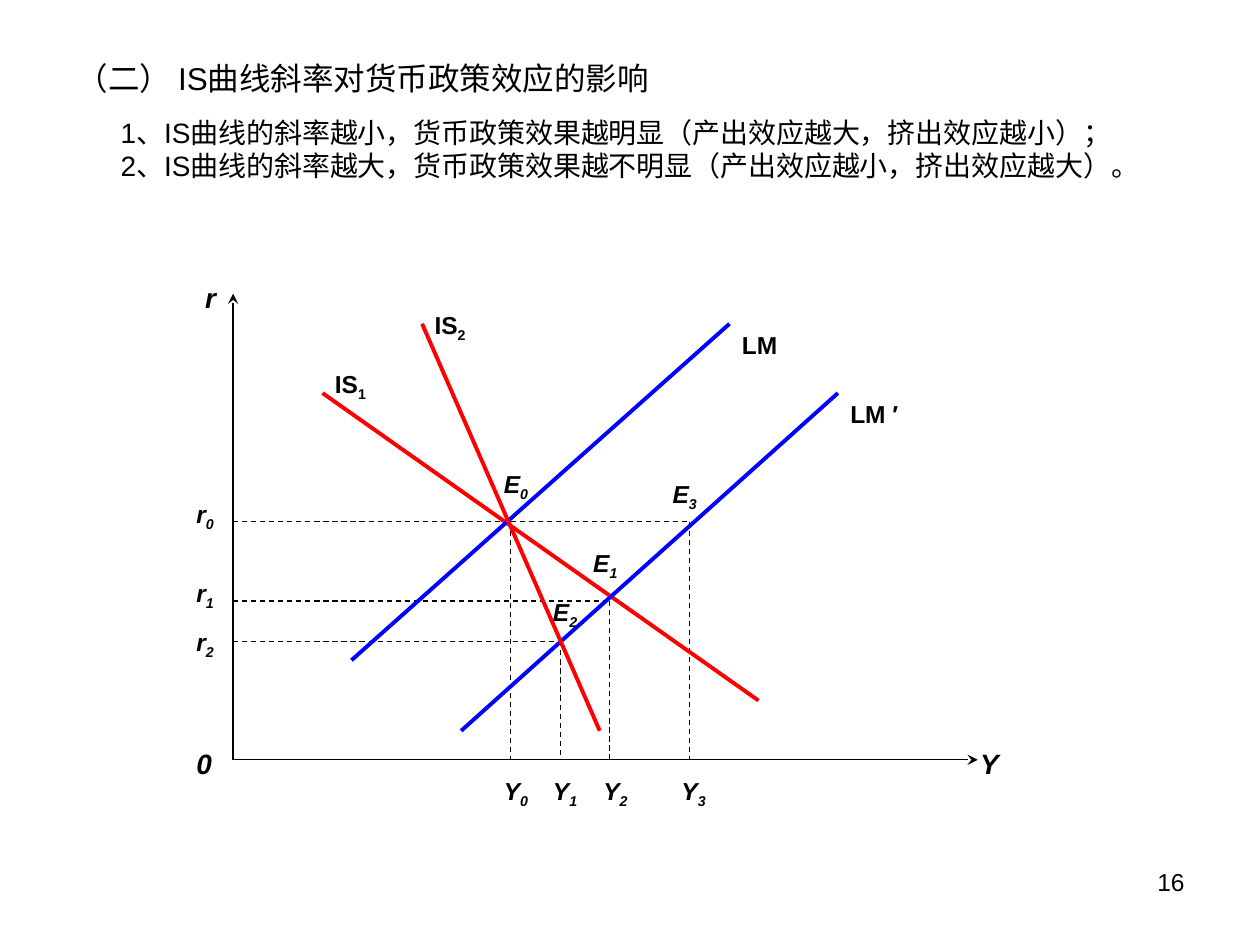
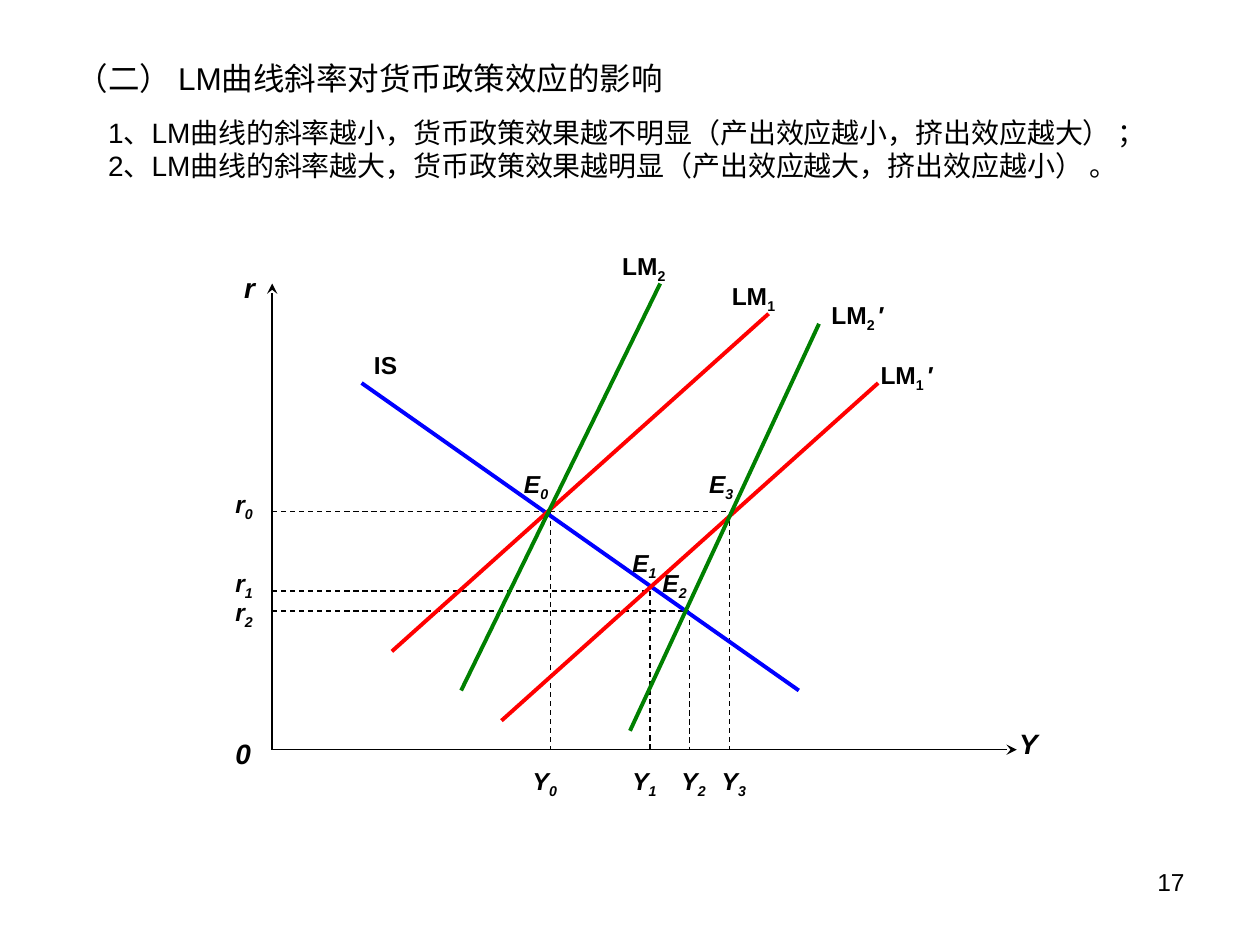
"""Build two slides on how IS and LM slopes shape monetary policy effects."""
from lxml.etree import SubElement
from pptx import Presentation
from pptx.dml.color import RGBColor
from pptx.enum.dml import MSO_LINE
from pptx.enum.shapes import MSO_CONNECTOR
from pptx.enum.text import MSO_ANCHOR, PP_ALIGN
from pptx.oxml.ns import qn
from pptx.util import Inches, Pt

COLORS = {"black": "000000", "red": "FF0000", "blue": "0000FF", "green": "008000"}
HEADING = {"size": Pt(18)}
BODY = {"size": Pt(16)}
NUMBER = {"size": Pt(14)}
AXIS = {"size": Pt(16), "bold": True, "italic": True}
POINT = {"size": Pt(14), "bold": True, "italic": True}
CURVE = {"size": Pt(14), "bold": True}

SLIDES = [
    {
        "number": "16",
        "heading": "（二） IS曲线斜率对货币政策效应的影响",
        "body": ["1、IS曲线的斜率越小，货币政策效果越明显（产出效应越大，挤出效应越小）；",
                 "2、IS曲线的斜率越大，货币政策效果越不明显（产出效应越小，挤出效应越大）。"],
        "height": 1.43,
        "indent": 0.35,
        "origin": (1.85, 6.03),
        "y_label_rise": 0.15,
        "guides": [(1.85, 4.05, 4.14), (1.85, 4.84, 4.77),
                   (1.85, 4.45, 5.09), (3.98, 5.47, 4.14)],
        "curves": [("red", 2.56, 3.12, 6.02, 5.56), ("blue", 3.66, 5.8, 6.65, 3.12),
                   ("blue", 2.79, 5.24, 5.79, 2.57), ("red", 3.35, 2.57, 4.76, 5.8)],
        "curve_labels": [(3.35, 2.41, 0.55, "IS", "2", ""), (2.56, 2.88, 0.47, "IS", "1", ""),
                         (5.79, 2.57, 0.63, "LM", "", ""), (6.65, 3.12, 0.87, "LM ′", "", "")],
        "e_labels": [(3.9, 3.67), (4.61, 4.3), (4.29, 4.69), (5.24, 3.75)],
        "r_tops": [3.91, 4.54, 4.93],
        "y_lefts": [3.9, 4.29, 4.69, 5.31],
    },
    {
        "number": "17",
        "heading": "（二） LM曲线斜率对货币政策效应的影响",
        "body": ["1、LM曲线的斜率越小，货币政策效果越不明显（产出效应越小，挤出效应越大） ；",
                 "2、LM曲线的斜率越大，货币政策效果越明显（产出效应越大，挤出效应越小） 。"],
        "height": 1.12,
        "indent": 0.25,
        "origin": (2.16, 5.95),
        "y_label_rise": 0.23,
        "guides": [(2.16, 4.37, 4.06), (2.16, 5.16, 4.69),
                   (2.16, 5.47, 4.85), (4.29, 5.79, 4.06)],
        "curves": [("blue", 2.87, 3.04, 6.34, 5.48), ("red", 3.98, 5.72, 6.97, 3.04),
                   ("red", 3.11, 5.17, 6.1, 2.49), ("green", 3.66, 5.48, 5.24, 2.25),
                   ("green", 5, 5.8, 6.5, 2.57)],
        "curve_labels": [(2.87, 2.73, 0.47, "IS", "", ""), (5.71, 2.18, 0.63, "LM", "1", ""),
                         (6.89, 2.81, 0.94, "LM", "1 ", "′"), (4.84, 1.94, 0.63, "LM", "2", ""),
                         (6.5, 2.33, 0.87, "LM", "2 ", "′")],
        "e_labels": [(4.06, 3.67), (4.92, 4.3), (5.16, 4.46), (5.53, 3.67)],
        "r_tops": [3.83, 4.46, 4.69],
        "y_lefts": [4.13, 4.92, 5.31, 5.63],
    },
]


def add_text(s, box, paragraphs, fmt):
    """Add a text box; each paragraph is a list of (text, is_subscript) runs."""
    sp = s.shapes.add_textbox(*[Inches(v) for v in box])
    tf = sp.text_frame
    tf.word_wrap = True
    tf.vertical_anchor = MSO_ANCHOR.TOP
    for i, runs in enumerate(paragraphs):
        p = tf.paragraphs[0] if i == 0 else tf.add_paragraph()
        for text, sub in runs:
            r = p.add_run()
            r.text = text
            r.font.name = "Arial"
            r.font.color.rgb = RGBColor.from_string(COLORS["black"])
            for key, value in fmt.items():
                setattr(r.font, key, value)
            if sub:
                r.font._element.set("baseline", "-25000")
    return tf


def add_line(s, x1, y1, x2, y2, color="black", width=0.75, dash=None, arrow=False):
    """Add a straight line, optionally dashed or with an arrowhead."""
    ends = [Inches(v) for v in (x1, y1, x2, y2)]
    sp = s.shapes.add_connector(MSO_CONNECTOR.STRAIGHT, *ends)
    sp.line.color.rgb = RGBColor.from_string(COLORS[color])
    sp.line.width = Pt(width)
    if dash:
        sp.line.dash_style = dash
    if arrow:
        SubElement(sp.line._get_or_add_ln(), qn("a:tailEnd"), type="stealth")
    SubElement(sp._element.spPr, qn("a:effectLst"))


prs = Presentation()
prs.slide_width, prs.slide_height = Inches(10), Inches(7.5)

for d in SLIDES:
    s = prs.slides.add_slide(prs.slide_layouts[6])
    x0, y0 = d["origin"]

    tf = add_text(s, (7.17, 6.83, 2.33, 0.52), [[(d["number"], False)]], NUMBER)
    tf.paragraphs[0].alignment = PP_ALIGN.RIGHT

    lines = [[(text, False)] for text in [d["heading"], *d["body"]]]
    tf = add_text(s, (0.51, 0.36, 9, d["height"]), lines, BODY)
    tf.margin_top = Inches(0.11)
    tf.paragraphs[0].runs[0].font.size = HEADING["size"]
    tf.paragraphs[1].space_before = Pt(10.5)
    for p in tf.paragraphs[1:]:
        p._p.get_or_add_pPr().set("marL", str(Inches(d["indent"])))

    add_line(s, x0, y0, x0, y0 - 3.7, arrow=True)
    add_line(s, x0, y0, x0 + 5.91, y0, arrow=True)
    for start, x, y in d["guides"]:
        add_line(s, start, y, x, y, dash=MSO_LINE.DASH)
        add_line(s, x, y, x, y0, dash=MSO_LINE.DASH)
    for color, *ends in d["curves"]:
        add_line(s, *ends, color=color, width=2.25)

    for text, dx, rise in [("0", -0.39, 0.15), ("Y", 5.83, d["y_label_rise"]),
                           ("r", -0.32, 3.85)]:
        add_text(s, (x0 + dx, y0 - rise, 0.47, 0.37), [[(text, False)]], AXIS)

    for x, y, w, name, sub, prime in d["curve_labels"]:
        runs = [run for run in [(name, False), (sub, True), (prime, False)] if run[0]]
        add_text(s, (x, y, w, 0.37), [runs], CURVE)

    places = {"E": d["e_labels"],
              "r": [(x0 - 0.39, y) for y in d["r_tops"]],
              "Y": [(x, y0 + 0.08) for x in d["y_lefts"]]}
    for name, spots in places.items():
        for i, (x, y) in enumerate(spots):
            add_text(s, (x, y, 0.47, 0.37), [[(name, False), (str(i), True)]], POINT)

prs.save("out.pptx")
